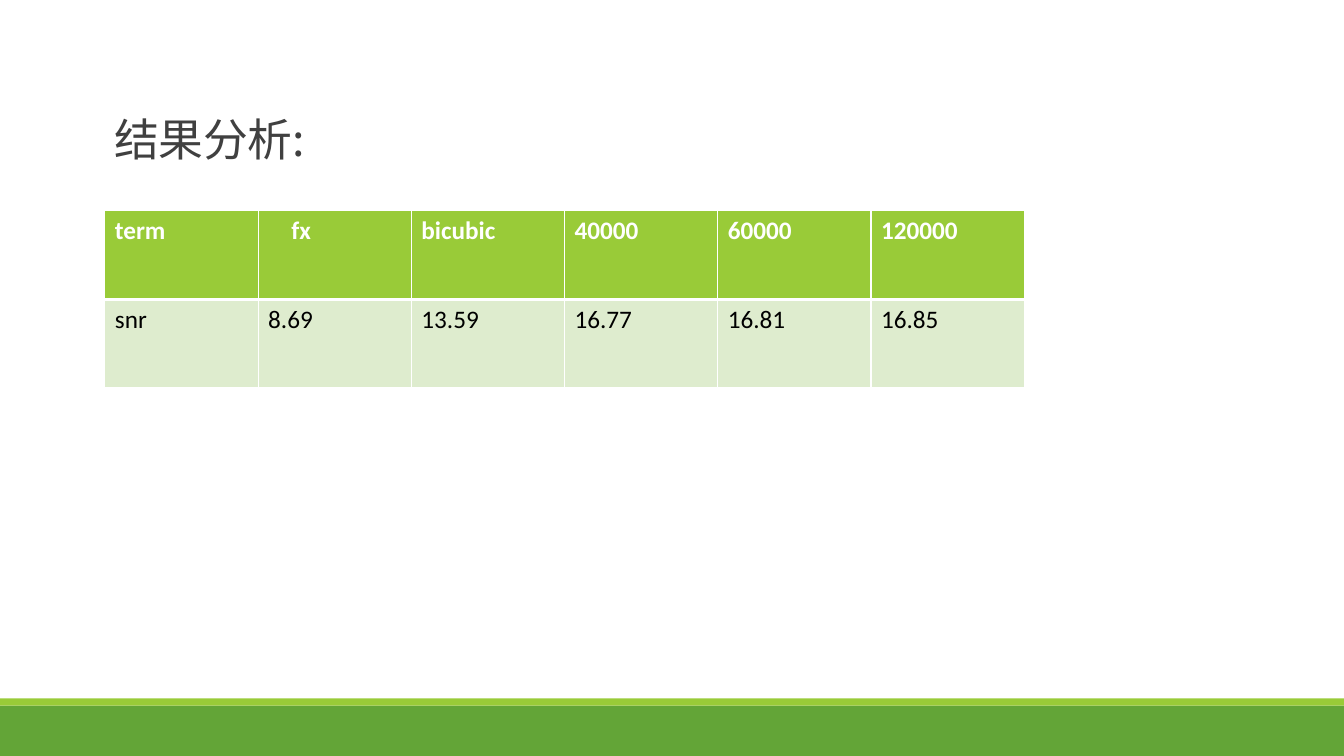
from dataclasses import dataclass

from lxml.etree import SubElement
from pptx import Presentation
from pptx.dml.color import RGBColor
from pptx.enum.shapes import MSO_SHAPE
from pptx.enum.text import MSO_ANCHOR
from pptx.oxml.ns import qn
from pptx.util import Inches, Pt


@dataclass(frozen=True)
class Theme:
    green: str = "63A537"
    lime: str = "99CB38"
    pale: str = "DEECCE"
    white: str = "FFFFFF"
    black: str = "000000"
    title_color: str = "404040"
    title_font: str = "Noto Sans CJK SC"
    table_font: str = "Calibri"
    title_size: int = 32
    table_size: int = 18


THEME = Theme()
RESULTS = [
    ["term", "fx", "bicubic", "40000", "60000", "120000"],
    ["snr", "8.69", "13.59", "16.77", "16.81", "16.85"],
]
COLUMN_WIDTH, ROW_HEIGHT = 1.52, 0.88
FX_INDENT = 0.33


def paint(fill, color):
    fill.solid()
    fill.fore_color.rgb = RGBColor.from_string(color)


def add_run(paragraph, text, font, size, color, bold=False):
    run = paragraph.add_run()
    run.text = text
    run.font.name = font
    run.font.size = Pt(size)
    run.font.bold = bold
    run.font.color.rgb = RGBColor.from_string(color)
    return run


def add_band(slide, top, height, color):
    band = slide.shapes.add_shape(
        MSO_SHAPE.RECTANGLE, 0, Inches(top), Inches(13.33), Inches(height))
    band.shadow.inherit = False
    paint(band.fill, color)
    band.line.fill.background()


def add_title(slide, text):
    title = slide.shapes.add_textbox(
        Inches(1.04), Inches(0.1), Inches(11), Inches(1.59))
    frame = title.text_frame
    frame.word_wrap = True
    frame.vertical_anchor = MSO_ANCHOR.BOTTOM
    paragraph = frame.paragraphs[0]
    paragraph.line_spacing = 0.85
    run = add_run(paragraph, text, THEME.title_font, THEME.title_size,
                  THEME.title_color)
    # East Asian typeface and slightly tightened letter spacing
    properties = run.font._element
    properties.set("spc", "-50")
    SubElement(properties, qn("a:ea"), typeface=THEME.title_font)


def set_borders(cell, bottom_width):
    properties = cell._tc.get_or_add_tcPr()
    widths = {"a:lnL": 1, "a:lnR": 1, "a:lnT": 1, "a:lnB": bottom_width}
    for position, (side, width) in enumerate(widths.items()):
        line = properties.makeelement(qn(side), {"w": str(Pt(width))})
        fill = SubElement(line, qn("a:solidFill"))
        SubElement(fill, qn("a:srgbClr"), val=THEME.white)
        properties.insert(position, line)


def add_results_table(slide, rows):
    row_count, column_count = len(rows), len(rows[0])
    table = slide.shapes.add_table(
        row_count, column_count, Inches(1.04), Inches(2.09),
        Inches(COLUMN_WIDTH * column_count),
        Inches(ROW_HEIGHT * row_count)).table
    table.horz_banding = False
    for row_index, values in enumerate(rows):
        table.rows[row_index].height = Inches(ROW_HEIGHT)
        is_header = row_index == 0
        for column_index, value in enumerate(values):
            cell = table.cell(row_index, column_index)
            paint(cell.fill, THEME.lime if is_header else THEME.pale)
            set_borders(cell, 3 if is_header else 1)
            if value == "fx":
                cell.margin_left = Inches(FX_INDENT)
            add_run(cell.text_frame.paragraphs[0], value, THEME.table_font,
                    THEME.table_size,
                    THEME.white if is_header else THEME.black, is_header)


def main():
    deck = Presentation()
    deck.slide_width, deck.slide_height = Inches(13.33), Inches(7.5)
    slide = deck.slides.add_slide(deck.slide_layouts[6])
    paint(slide.background.fill, THEME.white)

    # Footer bands
    add_band(slide, 7, 0.5, THEME.green)
    add_band(slide, 6.93, 0.07, THEME.lime)

    # Title and results
    add_title(slide, "结果分析:")
    add_results_table(slide, RESULTS)

    deck.save("out.pptx")


if __name__ == "__main__":
    main()
